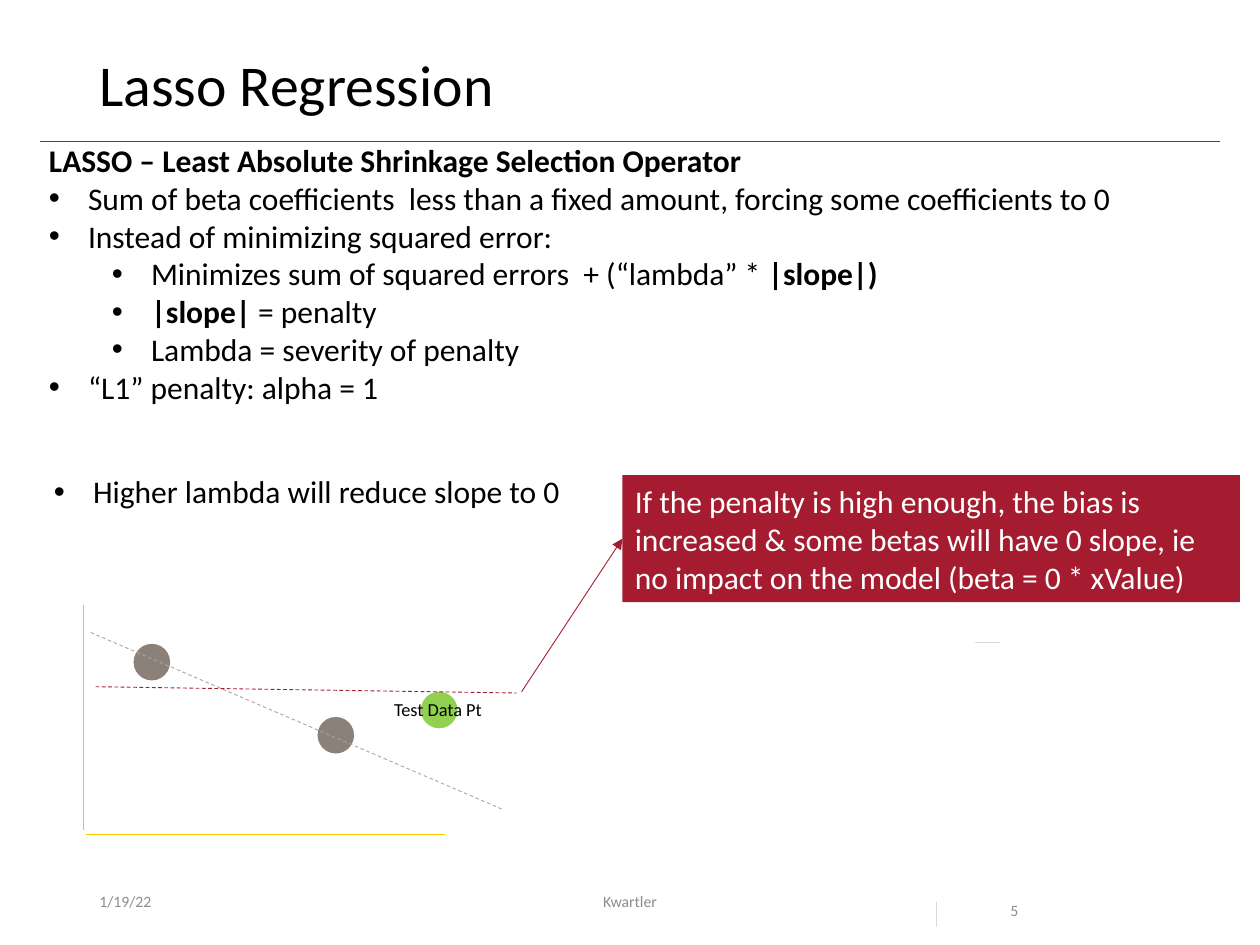
from pptx import Presentation
from pptx.dml.color import RGBColor
from pptx.enum.dml import MSO_LINE
from pptx.enum.shapes import MSO_CONNECTOR, MSO_SHAPE
from pptx.enum.text import MSO_ANCHOR, MSO_AUTO_SIZE as FIT, PP_ALIGN
from pptx.oxml.ns import qn
from pptx.util import Inches, Pt
from lxml.etree import SubElement

CRIMSON = RGBColor(0xA5, 0x1C, 0x30)
GOLD = RGBColor(0xFF, 0xC0, 0x00)
TAUPE = RGBColor(0x8C, 0x81, 0x79)
GREEN = RGBColor(0x92, 0xD0, 0x50)
GREY = RGBColor(0x8C, 0x8C, 0x8C)
MID_GREY = RGBColor(0xA6, 0xA6, 0xA6)
LIGHT_GREY = RGBColor(0xD9, 0xD9, 0xD9)
BLACK = RGBColor(0, 0, 0)
WHITE = RGBColor(0xFF, 0xFF, 0xFF)

deck = Presentation()
deck.slide_width, deck.slide_height = Inches(10), Inches(7.5)
page = deck.slides.add_slide(deck.slide_layouts[6])
shapes = page.shapes


def write(box, paragraphs, size=18, color=BLACK, wrap=True, fit=FIT.SHAPE_TO_FIT_TEXT):
    """Fill a box with (bullet level or None, [(text, bold), ...]) paragraphs."""
    frame = box.text_frame
    frame.word_wrap = wrap
    frame.auto_size = fit
    for number, (level, runs) in enumerate(paragraphs):
        para = frame.add_paragraph() if number else frame.paragraphs[0]
        para.alignment = PP_ALIGN.LEFT
        if level is not None:
            para.level = level
            props = para._p.get_or_add_pPr()
            props.set("marL", str(Inches(0.31 + 0.5 * level)))
            props.set("indent", str(Inches(-0.31)))
            SubElement(props, qn("a:buFont"), typeface="Arial")
            SubElement(props, qn("a:buChar"), char="•")
        for text, bold in runs:
            span = para.add_run()
            span.text = text
            span.font.name, span.font.size = "Calibri", Pt(size)
            span.font.bold = bold
            span.font.color.rgb = color
    return frame


def draw_line(x1, y1, x2, y2, color, dashed=False):
    line = shapes.add_connector(MSO_CONNECTOR.STRAIGHT, Inches(x1), Inches(y1),
                                Inches(x2), Inches(y2))
    line.line.color.rgb = color
    line.line.width = Pt(0.5)
    if dashed:
        line.line.dash_style = MSO_LINE.DASH
    SubElement(line._element.spPr, qn("a:effectLst"))
    return line


# Title and rule
draw_line(0.32, 1.12, 9.68, 1.12, CRIMSON)
title = shapes.add_textbox(Inches(0.69), Inches(0.4), Inches(8.62), Inches(0.65))
frame = write(title, [(None, [("Lasso Regression", False)])], size=33, fit=FIT.NONE)
frame.paragraphs[0].line_spacing = 0.9

# Footer: date, author, page number
for text, left, width, align, anchor, spacing in [
    ("1/19/22", 0.69, 2.25, PP_ALIGN.LEFT, MSO_ANCHOR.MIDDLE, 1.0),
    ("Kwartler", 3.31, 3.38, PP_ALIGN.CENTER, MSO_ANCHOR.MIDDLE, 1.0),
    ("5", 7.92, 0.94, PP_ALIGN.LEFT, MSO_ANCHOR.TOP, 2.0),
]:
    box = shapes.add_textbox(Inches(left), Inches(6.95), Inches(width), Inches(0.4))
    frame = write(box, [(None, [(text, False)])], size=9, color=GREY, fit=FIT.NONE)
    frame.vertical_anchor = anchor
    frame.paragraphs[0].alignment = align
    frame.paragraphs[0].line_spacing = spacing

# Definition
definition = shapes.add_textbox(Inches(0.29), Inches(1.07), Inches(8.75), Inches(2.22))
write(definition, [
    (None, [("LASSO – Least Absolute Shrinkage Selection Operator", True)]),
    (0, [("Sum of beta coefficients  less than a fixed amount, "
          "forcing some coefficients to 0", False)]),
    (0, [("Instead of minimizing squared error:", False)]),
    (1, [("Minimizes sum of squared errors  + (“lambda” * ", False), ("|slope|)", True)]),
    (1, [("|slope| ", True), ("= penalty", False)]),
    (1, [("Lambda = severity of penalty", False)]),
    (0, [("“L1” penalty: alpha = 1", False)]),
], wrap=False)

effect = shapes.add_textbox(Inches(0.33), Inches(3.7), Inches(4.29), Inches(0.4))
write(effect, [(0, [("Higher lambda will reduce slope to 0", False)])])

# Sketch: axes, data points, fitted lines
draw_line(0.66, 4.8, 0.66, 6.59, GOLD)
draw_line(0.68, 6.62, 3.53, 6.62, GOLD)
for left, top, color in [(1.06, 5.11, TAUPE), (2.52, 5.69, TAUPE), (3.34, 5.49, GREEN)]:
    point = shapes.add_shape(MSO_SHAPE.OVAL, Inches(left), Inches(top),
                             Inches(0.29), Inches(0.29))
    point.shadow.inherit = False
    point.fill.solid()
    point.fill.fore_color.rgb = color
    point.line.fill.background()
draw_line(0.72, 5.02, 3.98, 6.42, MID_GREY, dashed=True)
label = shapes.add_textbox(Inches(3.03), Inches(5.49), Inches(0.93), Inches(0.28))
write(label, [(None, [("Test Data Pt", False)])], size=10.5, wrap=False)
draw_line(0.76, 5.45, 4.1, 5.5, CRIMSON, dashed=True)

# Callout with arrow
callout = shapes.add_shape(MSO_SHAPE.RECTANGLE, Inches(4.94), Inches(3.77),
                           Inches(4.9), Inches(1.01))
callout.shadow.inherit = False
callout.fill.solid()
callout.fill.fore_color.rgb = CRIMSON
callout.line.fill.background()
write(callout, [(None, [("If the penalty is high enough, the bias is increased & some betas "
                         "will have 0 slope, ie no impact on the model "
                         "(beta = 0 * xValue)", False)])], color=WHITE)
arrow = draw_line(4.14, 5.49, 4.94, 4.27, CRIMSON)
arrow.end_connect(callout, 1)
SubElement(arrow.line._get_or_add_ln(), qn("a:tailEnd"), type="triangle")

# Small grey marks
draw_line(7.43, 7.16, 7.43, 7.36, LIGHT_GREY)
draw_line(7.74, 5.1, 7.94, 5.1, LIGHT_GREY)

deck.save("out.pptx")
